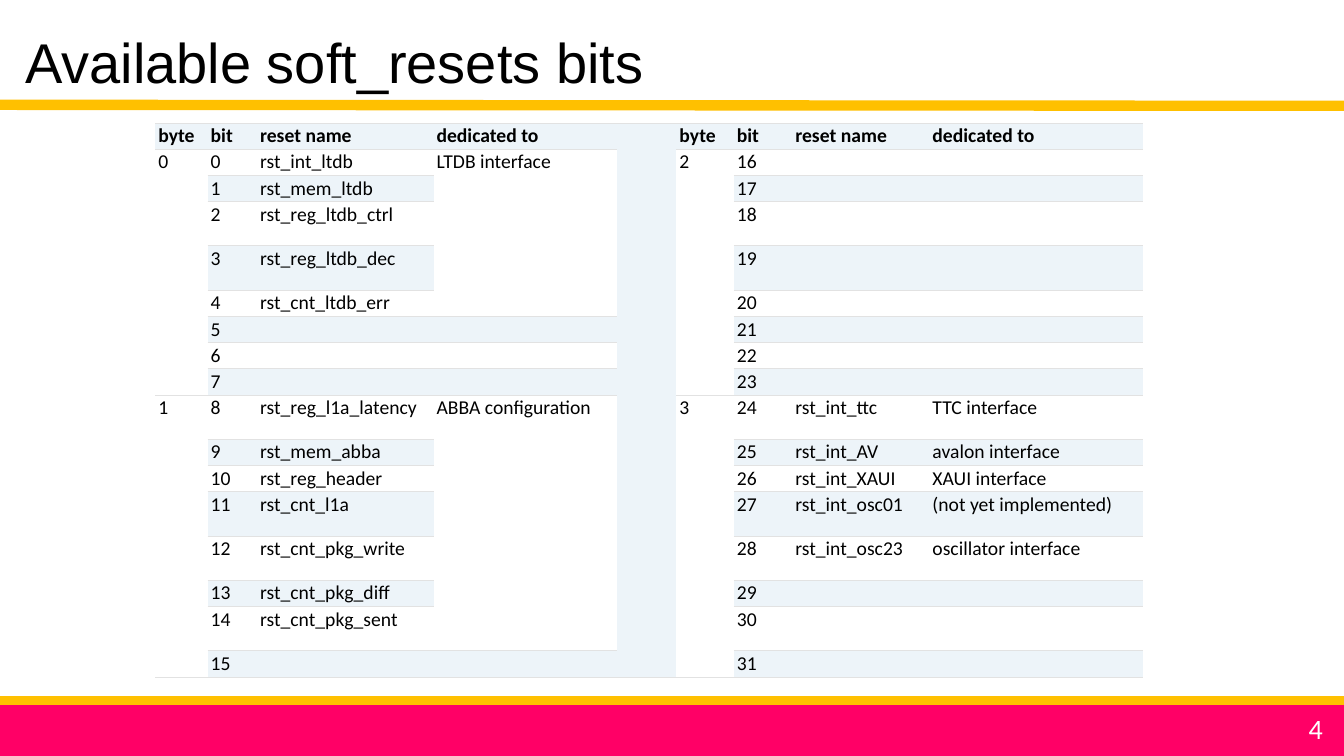
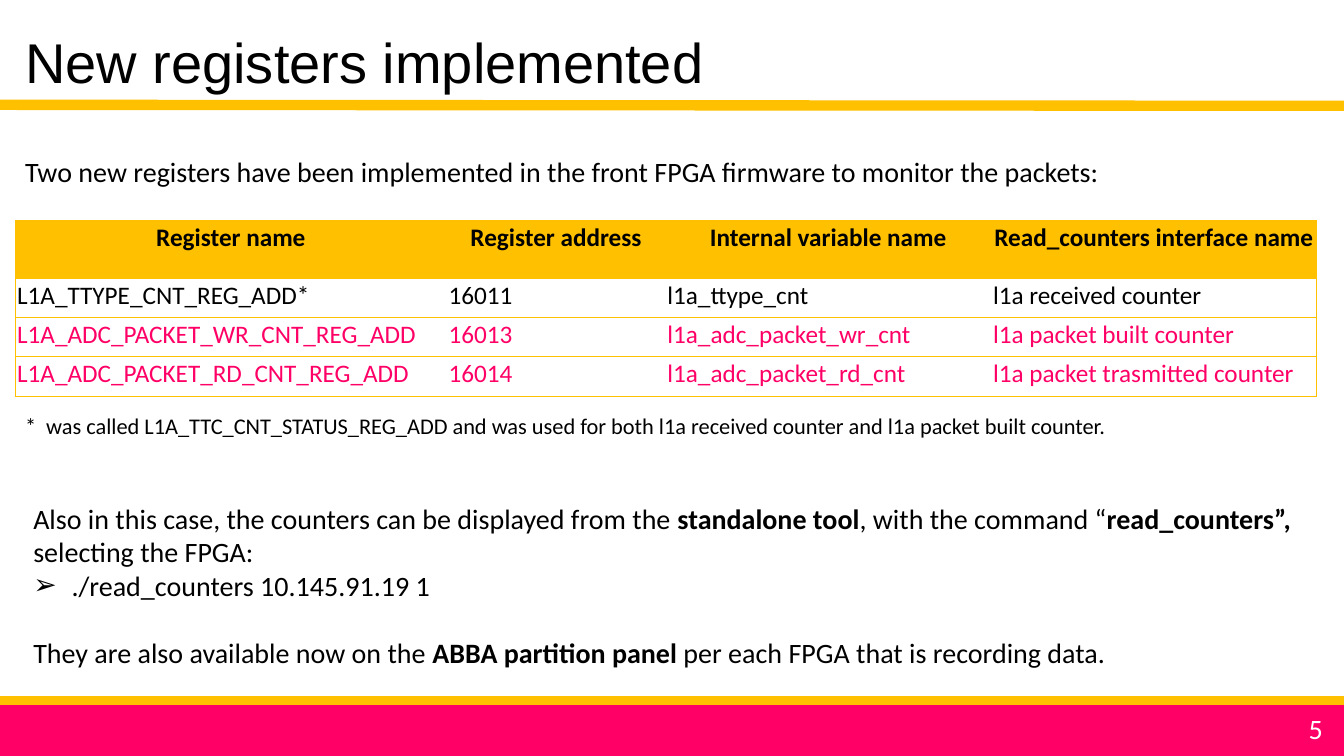
import lxml.etree
import pptx
import pptx.dml.color
import pptx.enum.shapes
import pptx.enum.text
import pptx.oxml.ns
import pptx.util

Inches = pptx.util.Inches
Pt = pptx.util.Pt
qn = pptx.oxml.ns.qn
ALIGN = pptx.enum.text.PP_ALIGN

COLORS = {
    "text": "000000",
    "white": "FFFFFF",
    "gold": "FFC000",
    "pink": "FF0066",
    "stripe": "EDF4F9",
    "rule": "E2E2E2",
}
NO_TABLE_STYLE = "{2D5ABB26-0587-4C30-8999-92F81FD0307C}"
PAGE_WIDTH, PAGE_HEIGHT = 13.33, 7.5

BITS_PER_BYTE = 8
ROW_COUNT = 2 * BITS_PER_BYTE
TALL_ROWS = {2, 3, 8, 11, 12, 14}
RESET_HEADINGS = ["byte", "bit", "reset name", "dedicated to"]
RESET_NAMES = {
    0: "rst_int_ltdb", 1: "rst_mem_ltdb", 2: "rst_reg_ltdb_ctrl",
    3: "rst_reg_ltdb_dec", 4: "rst_cnt_ltdb_err",
    8: "rst_reg_l1a_latency", 9: "rst_mem_abba", 10: "rst_reg_header",
    11: "rst_cnt_l1a", 12: "rst_cnt_pkg_write", 13: "rst_cnt_pkg_diff",
    14: "rst_cnt_pkg_sent",
    24: "rst_int_ttc", 25: "rst_int_AV", 26: "rst_int_XAUI",
    27: "rst_int_osc01", 28: "rst_int_osc23",
}
DEDICATED_TO = {
    0: "LTDB interface", 8: "ABBA configuration", 24: "TTC interface",
    25: "avalon interface", 26: "XAUI interface",
    27: "(not yet implemented)", 28: "oscillator interface",
}
REGISTERS = [
    ["Register name", "Register address", "Internal variable name",
     "Read_counters interface name"],
    ["L1A_TTYPE_CNT_REG_ADD*", "16011", "l1a_ttype_cnt",
     "l1a received counter"],
    ["L1A_ADC_PACKET_WR_CNT_REG_ADD", "16013", "l1a_adc_packet_wr_cnt",
     "l1a packet built counter"],
    ["L1A_ADC_PACKET_RD_CNT_REG_ADD", "16014", "l1a_adc_packet_rd_cnt",
     "l1a packet trasmitted counter"],
]


def rgb(name):
    return pptx.dml.color.RGBColor.from_string(COLORS[name])


def add_span(para, text, size, color="text", bold=False, font="Calibri"):
    span = para.add_run()
    span.text = text
    span.font.name = font
    span.font.size = Pt(size)
    span.font.bold = bold
    span.font.color.rgb = rgb(color)


def place(shape, left, top, width, height):
    shape.left, shape.top = Inches(left), Inches(top)
    shape.width, shape.height = Inches(width), Inches(height)


def prepare_frame(frame):
    frame.word_wrap = True
    frame.auto_size = pptx.enum.text.MSO_AUTO_SIZE.NONE
    frame.vertical_anchor = pptx.enum.text.MSO_ANCHOR.TOP
    return frame


def add_text(page, box, text, size, color="text", tab=None):
    shape = page.shapes.add_textbox(*map(Inches, box))
    para = prepare_frame(shape.text_frame).paragraphs[0]
    if tab:
        stops = lxml.etree.SubElement(
            para._p.get_or_add_pPr(), qn("a:tabLst"))
        lxml.etree.SubElement(
            stops, qn("a:tab"), pos=str(Inches(tab)), algn="l")
    add_span(para, text, size, color)


def add_gold_line(page, start_y, end_y, weight):
    line = page.shapes.add_connector(
        pptx.enum.shapes.MSO_CONNECTOR.STRAIGHT,
        0, Inches(start_y), Inches(PAGE_WIDTH), Inches(end_y))
    line.line.color.rgb = rgb("gold")
    line.line.width = Pt(weight)
    lxml.etree.SubElement(line._element.spPr, qn("a:effectLst"))


def add_page(deck, layout_index, title, number):
    """Start a slide with its title, gold lines, footer band and number."""
    page = deck.slides.add_slide(deck.slide_layouts[layout_index])
    place(page.shapes.title, 0.15, 0.22, 13, 0.77)
    para = prepare_frame(page.shapes.title.text_frame).paragraphs[0]
    para.alignment = ALIGN.LEFT
    add_span(para, title, 40, font="Arial")

    for top in (1.02, 1.06):
        add_gold_line(page, top, top + 0.01, 4.5)
    footer = page.shapes.add_shape(
        pptx.enum.shapes.MSO_SHAPE.RECTANGLE, 0, Inches(6.96),
        Inches(PAGE_WIDTH), Inches(0.54))
    footer.shadow.inherit = False
    footer.fill.solid()
    footer.fill.fore_color.rgb = rgb("pink")
    footer.line.color.rgb = rgb("pink")
    footer.line.width = Pt(1)
    add_gold_line(page, 6.95, 6.95, 6)
    add_text(page, (12.88, 7.01, 0.4, 0.44), number, 20, "white")
    return page


def add_plain_table(page, left, top, widths, heights):
    frame = page.shapes.add_table(
        len(heights), len(widths), Inches(left), Inches(top),
        Inches(sum(widths)), Inches(sum(heights)))
    table = frame.table
    table.first_row = table.horz_banding = False
    table._tbl.tblPr.find(qn("a:tableStyleId")).text = NO_TABLE_STYLE
    for column, width in zip(table.columns, widths):
        column.width = Inches(width)
    for row, height in zip(table.rows, heights):
        row.height = Inches(height)
    return table


def set_borders(cell, sides, color, weight):
    """Draw the named sides, given in the order L, R, T, B."""
    for side in sides:
        edge = lxml.etree.SubElement(
            cell._tc.get_or_add_tcPr(), qn("a:ln" + side),
            w=str(Pt(weight)))
        fill = lxml.etree.SubElement(edge, qn("a:solidFill"))
        lxml.etree.SubElement(fill, qn("a:srgbClr"), val=COLORS[color])


def fill_cell(cell, text, size, margins, fill, color="text", bold=False,
              align=ALIGN.LEFT):
    cell.margin_left = cell.margin_right = Inches(margins[0])
    cell.margin_top = cell.margin_bottom = Inches(margins[1])
    cell.fill.solid()
    cell.fill.fore_color.rgb = rgb(fill)
    para = cell.text_frame.paragraphs[0]
    para.alignment = align
    if text:
        add_span(para, text, size, color, bold)
    else:
        lxml.etree.SubElement(
            para._p, qn("a:endParaRPr"), sz=str(size * 100))


def reset_cells(bit):
    byte, offset = divmod(bit, BITS_PER_BYTE)
    return ["" if offset else str(byte), str(bit),
            RESET_NAMES.get(bit, ""), DEDICATED_TO.get(bit, "")]


def add_reset_table(page, left, top):
    widths = [0.52, 0.49, 1.75, 1.82, 0.59, 0.57, 0.58, 1.36, 2.12]
    heights = [0.26] + [0.44 if row in TALL_ROWS else 0.26
                        for row in range(ROW_COUNT)]
    table = add_plain_table(page, left, top, widths, heights)
    rows = [RESET_HEADINGS + [""] + RESET_HEADINGS]
    rows += [reset_cells(bit) + [""] + reset_cells(bit + ROW_COUNT)
             for bit in range(ROW_COUNT)]
    for r, row in enumerate(rows):
        for c, text in enumerate(row):
            cell = table.cell(r, c)
            set_borders(cell, "TB", "rule", 0.75)
            fill_cell(cell, text, 14, (0.03, 0.01),
                      "white" if r % 2 else "stripe", bold=r == 0)

    merges = [(0, ROW_COUNT, 4), (1, 5, 3), (9, 15, 3)]
    merges += [(first, first + BITS_PER_BYTE - 1, column)
               for first in (1, 1 + BITS_PER_BYTE) for column in (0, 5)]
    for first, last, column in merges:
        table.cell(first, column).merge(table.cell(last, column))


def add_register_table(page, left, top):
    widths = [4.28, 2.17, 3.23, 3.23]
    table = add_plain_table(page, left, top, widths, [0.57] + [0.39] * 3)
    outer_sides = {0: "L", len(widths) - 1: "R"}
    for r, row in enumerate(REGISTERS):
        header = r == 0
        for c, text in enumerate(row):
            cell = table.cell(r, c)
            set_borders(cell, outer_sides.get(c, "") + "TB", "gold", 0.5)
            fill_cell(cell, text, 18, (0.02, 0.02),
                      "gold" if header else "white",
                      "pink" if r > 1 else "text", header,
                      ALIGN.CENTER if header else ALIGN.LEFT)


def add_usage_notes(body, box):
    place(body, *box)
    frame = prepare_frame(body.text_frame)
    notes = [
        (None, 0, [("Also in this case, the counters can be displayed from the ", False),
                   ("standalone tool", True),
                   (", with the command “", False),
                   ("read_counters”,", True),
                   (" selecting the FPGA:", False)]),
        ("➢", 0, [("./read_counters 10.145.91.19 1", False)]),
        (None, 24, [("They are also available now on the ", False),
                    ("ABBA partition panel ", True),
                    ("per each FPGA that is recording data.", False)]),
    ]
    for index, (bullet, gap, spans) in enumerate(notes):
        para = frame.add_paragraph() if index else frame.paragraphs[0]
        para.space_before = Pt(gap)
        props = para._p.get_or_add_pPr()
        indent = Inches(0.38) if bullet else 0
        props.set("marL", str(indent))
        props.set("indent", str(-indent))
        if bullet:
            lxml.etree.SubElement(props, qn("a:buFont"), typeface="Arial")
            lxml.etree.SubElement(props, qn("a:buChar"), char=bullet)
        else:
            lxml.etree.SubElement(props, qn("a:buNone"))
        for text, bold in spans:
            add_span(para, text, 20, bold=bold)


def build_resets_page(deck):
    page = add_page(deck, 5, "Available soft_resets bits", "4")
    add_reset_table(page, 1.54, 1.22)


def build_registers_page(deck):
    page = add_page(deck, 1, "New registers implemented", "5")
    add_text(page, (0.15, 1.48, 12.9, 0.5),
             "Two new registers have been implemented in the front FPGA "
             "firmware to monitor the packets:", 20)
    add_register_table(page, 0.15, 2.19)
    add_text(page, (0.15, 4.04, 12.9, 0.4),
             "*\twas called L1A_TTC_CNT_STATUS_REG_ADD and was used for both "
             "l1a received counter and l1a packet built counter.", 16,
             tab=0.21)
    add_usage_notes(page.placeholders[1], (0.23, 4.92, 12.83, 1.78))


def main():
    deck = pptx.Presentation()
    deck.slide_width = Inches(PAGE_WIDTH)
    deck.slide_height = Inches(PAGE_HEIGHT)
    build_resets_page(deck)
    build_registers_page(deck)
    deck.save("out.pptx")


if __name__ == "__main__":
    main()
